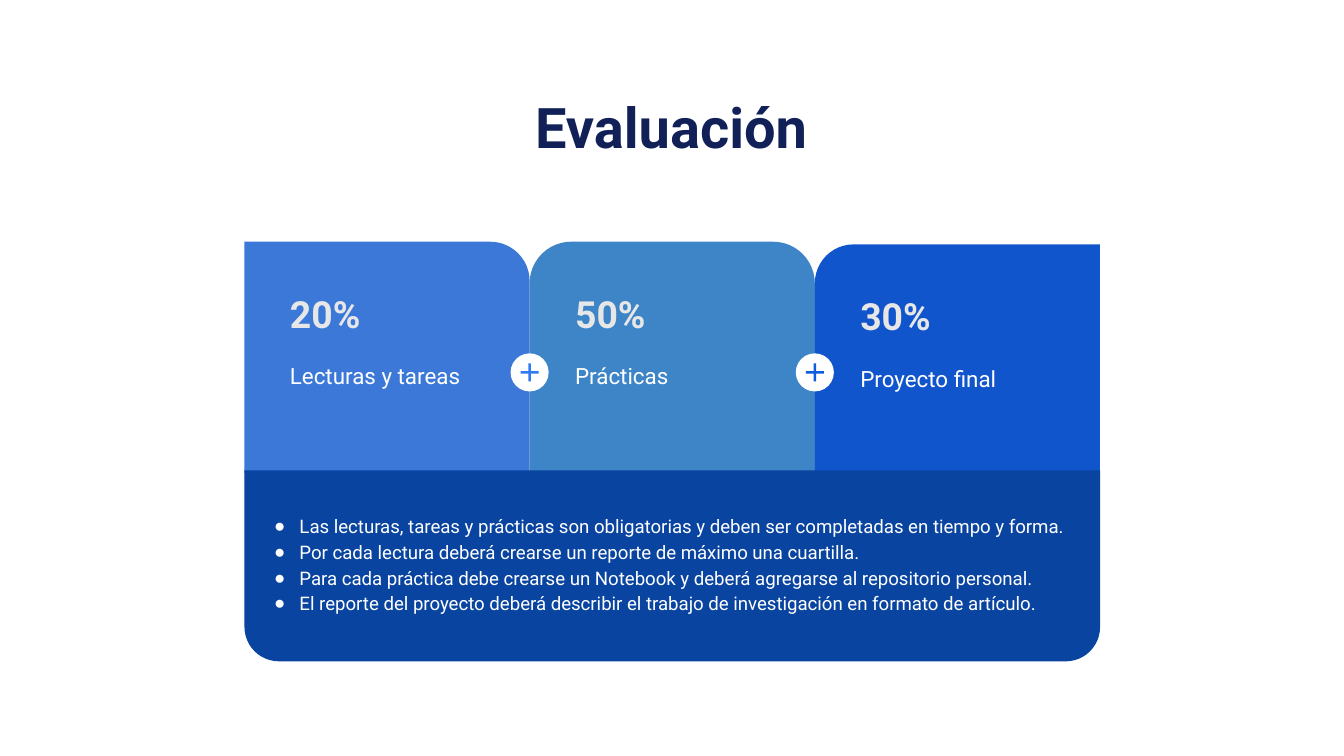
"""Build the course evaluation slide: three weighted cards above a list of rules."""
import pptx
import pptx.dml.color
import pptx.enum.shapes
import pptx.enum.text
import pptx.util
from lxml import etree

Cm, Pt = pptx.util.Cm, pptx.util.Pt
MSO = pptx.enum.shapes.MSO_SHAPE
ALIGN = pptx.enum.text.PP_ALIGN
A = "http://schemas.openxmlformats.org/drawingml/2006/main"

TITLE = "Evaluación"
CARDS = [
    ("20%", "Lecturas y tareas", "3C78D8", MSO.ROUND_1_RECTANGLE, [0.17], 4.57),
    ("50%", "Prácticas", "3D85C6", MSO.ROUND_2_SAME_RECTANGLE, [0.18, 0], 4.57),
    ("30%", "Proyecto final", "1155CC", MSO.ROUND_1_RECTANGLE, [0.17], 4.62),
]
PLUS_COLORS = ["307BF3", "0D5DDF"]
RULES = [
    "Las lecturas, tareas y prácticas son obligatorias y deben ser completadas en tiempo y forma.",
    "Por cada lectura deberá crearse un reporte de máximo una cuartilla.",
    "Para cada práctica debe crearse un Notebook y deberá agregarse al repositorio personal.",
    "El reporte del proyecto deberá describir el trabajo de investigación en formato de artículo.",
]
LEFT, CARD_W, CARD_BOTTOM, PLUS_Y = 4.62, 5.39, 8.94, 7.04


def rgb(value):
    return pptx.dml.color.RGBColor.from_string(value)


def place(sp, x, y, w, h):
    sp.left, sp.top, sp.width, sp.height = Cm(x), Cm(y), Cm(w), Cm(h)


def add_shape(s, kind, x, y, w, h, color, adjustments=()):
    sp = s.shapes.add_shape(kind, Cm(x), Cm(y), Cm(w), Cm(h))
    sp.shadow.inherit = False
    sp.fill.solid()
    sp.fill.fore_color.rgb = rgb(color)
    sp.line.fill.background()
    for i, value in enumerate(adjustments):
        sp.adjustments[i] = value
    return sp


def set_text(sp, text, size, color, bold=False, align=ALIGN.LEFT, spacing=1.0):
    tf = sp.text_frame
    tf.text = text
    tf.word_wrap = True
    tf.auto_size = pptx.enum.text.MSO_AUTO_SIZE.NONE
    tf.vertical_anchor = pptx.enum.text.MSO_ANCHOR.TOP
    tf.margin_left = tf.margin_right = tf.margin_top = tf.margin_bottom = Cm(0.25)
    for p in tf.paragraphs:
        p.alignment, p.line_spacing = align, spacing
        p.space_before = Pt(0)
        for r in p.runs:
            r.font.name, r.font.size, r.font.bold = "Roboto", Pt(size), bold
            r.font.color.rgb = rgb(color)


def add_text(s, x, y, w, h, *args, **kwargs):
    set_text(s.shapes.add_textbox(Cm(x), Cm(y), Cm(w), Cm(h)), *args, **kwargs)


def add_bullet(p, color):
    pPr = p._p.get_or_add_pPr()
    pPr.set("marL", str(Cm(0.79)))
    pPr.set("indent", str(-Cm(0.48)))
    bu_color = etree.SubElement(pPr, f"{{{A}}}buClr")
    etree.SubElement(bu_color, f"{{{A}}}srgbClr", val=color)
    etree.SubElement(pPr, f"{{{A}}}buChar", char="●")


def add_card(s, i, percent, label, color, kind, adjustments, top):
    x = LEFT + i * CARD_W
    sp = add_shape(s, kind, x, top, CARD_W, CARD_BOTTOM - top, color, adjustments)
    if i == len(CARDS) - 1:
        sp._element.spPr.xfrm.set("flipH", "1")
    add_text(s, x + 0.61, top + 0.68, 4.04, 1.27, percent, 20, "E7E7E7", bold=True)
    add_text(s, x + 0.61, top + 1.95, 4.04, 1.4, label, 12, "FFFFFF", spacing=1.15)


def add_plus(s, x, color):
    for kind, size, fill, adjustments in [
        (MSO.OVAL, 0.72, "FFFFFF", ()),
        (MSO.MATH_PLUS, 0.46, color, [0.1]),
    ]:
        add_shape(s, kind, x - size / 2, PLUS_Y - size / 2, size, size, fill, adjustments)


def main():
    prs = pptx.Presentation()
    prs.slide_width, prs.slide_height = Cm(25.4), Cm(14.29)
    s = prs.slides.add_slide(prs.slide_layouts[1])
    title, body = s.placeholders

    place(title, 1.98, 1.5, 21.41, 1.6)
    set_text(title, TITLE, 30, "112158", bold=True, align=ALIGN.CENTER)

    for i, card in enumerate(CARDS):
        add_card(s, i, *card)
    for i, color in enumerate(PLUS_COLORS, 1):
        add_plus(s, LEFT + i * CARD_W, color)

    panel = add_shape(s, MSO.ROUND_2_SAME_RECTANGLE, LEFT, 8.89, 3 * CARD_W, 3.61,
                      "0944A1", [0.18, 0])
    panel.rotation = 180

    s.shapes._spTree.append(body._element)
    place(body, LEFT, 9.42, 15.8, 3.1)
    set_text(body, "\n".join(RULES), 10, "FFFFFF", spacing=1.15)
    for p in body.text_frame.paragraphs:
        add_bullet(p, "FFFFFF")

    prs.save("out.pptx")


if __name__ == "__main__":
    main()
